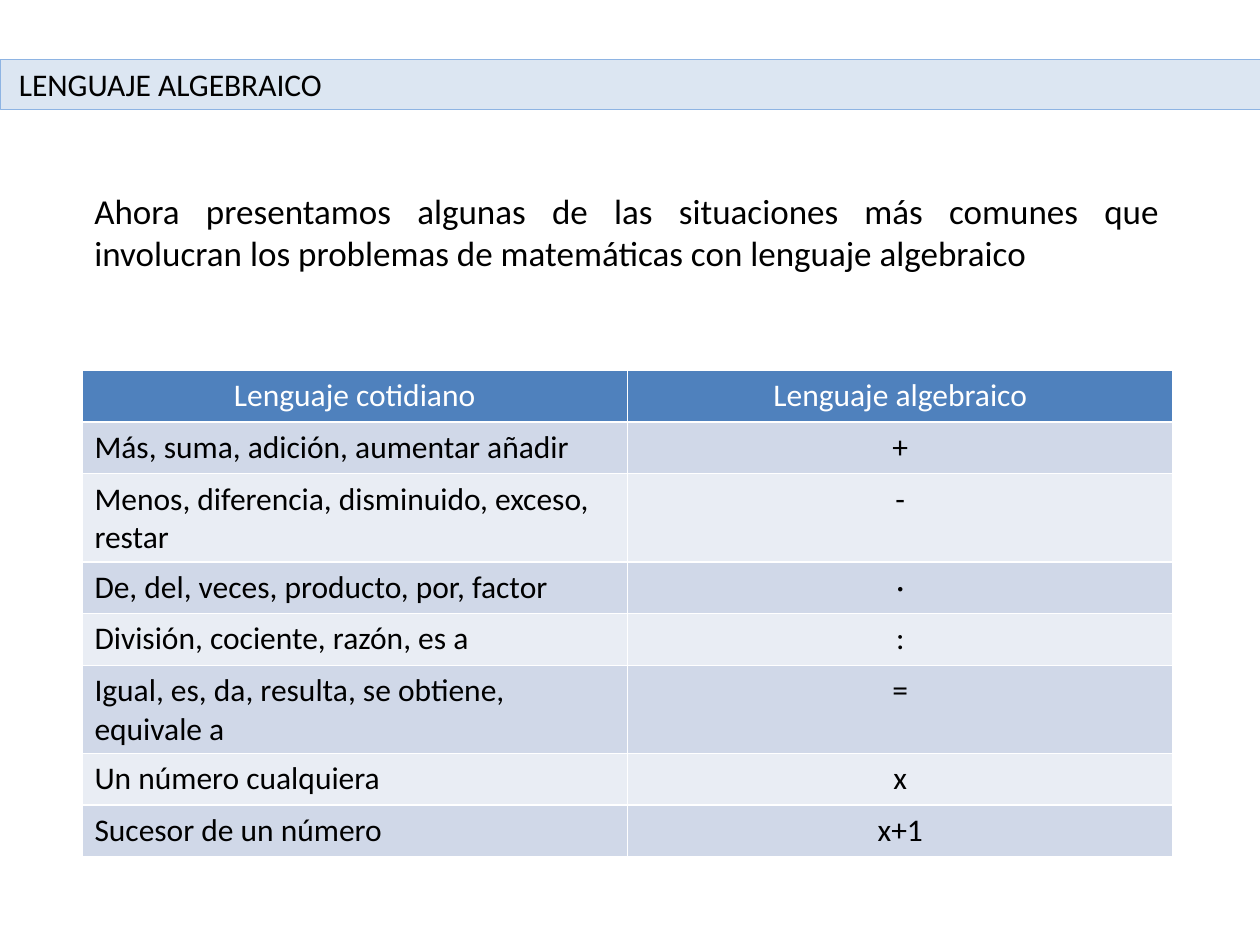
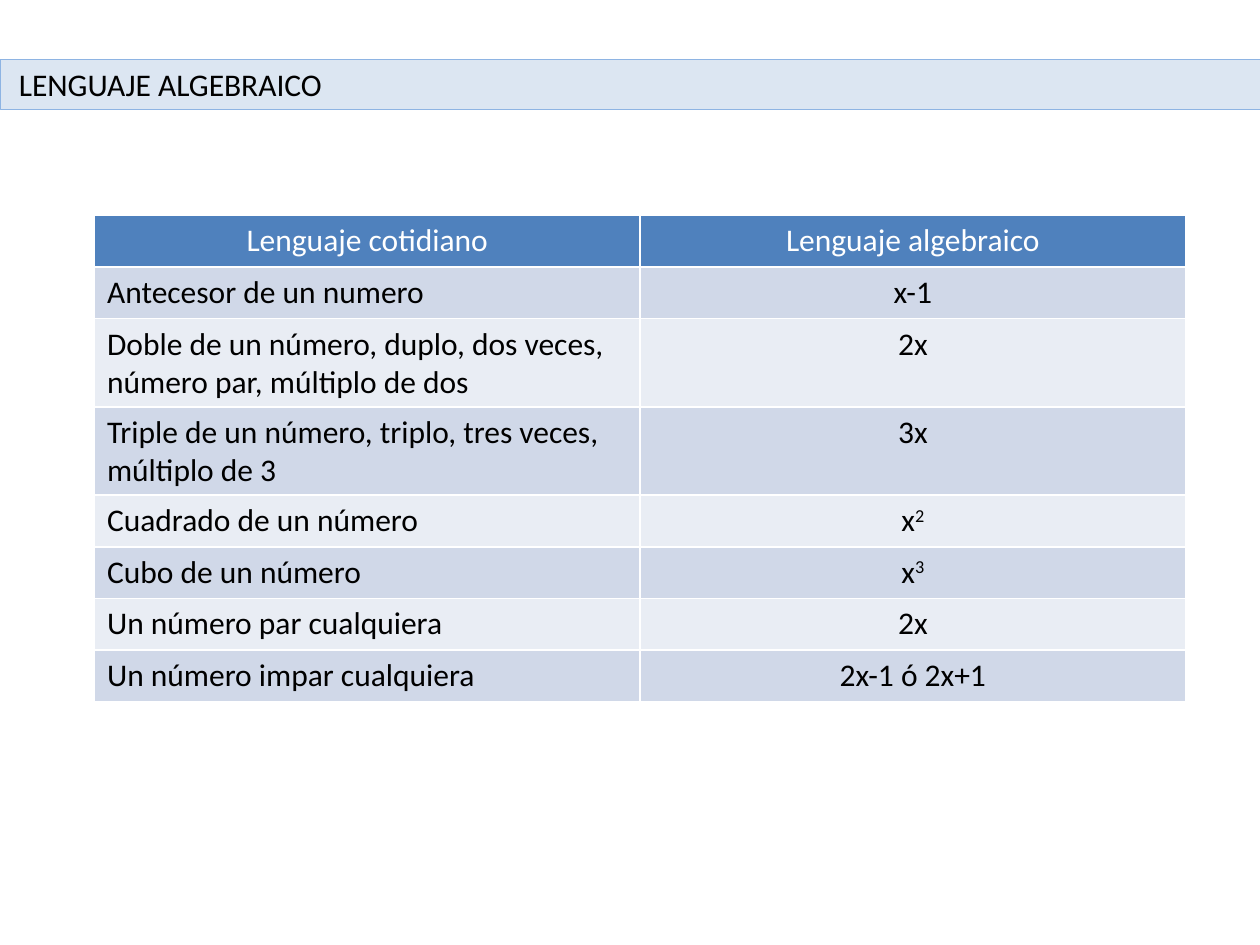
from pptx import Presentation
from pptx.dml.color import RGBColor
from pptx.enum.shapes import MSO_SHAPE as Shape
from pptx.enum.text import MSO_ANCHOR as Anchor, PP_ALIGN as Align
from pptx.util import Inches, Pt

FONT = "Calibri"
COLORS = {
    "text": "000000",
    "header_text": "FFFFFF",
    "header": "4F81BD",
    "odd_row": "D0D8E8",
    "even_row": "E9EDF4",
    "band": "DCE6F2",
    "band_line": "8EB4E3",
}
TITLE = "LENGUAJE ALGEBRAICO"
HEADER = ("Lenguaje cotidiano", "Lenguaje algebraico")
COLUMN_WIDTH = 4.33
ROW_HEIGHT = 0.41

SLIDES = [
    {
        "intro": "Ahora presentamos algunas de las situaciones más comunes que "
                 "involucran los problemas de matemáticas con lenguaje algebraico",
        "table_at": (0.65, 2.94),
        "rows": [
            ("Más, suma, adición, aumentar añadir", "+"),
            ("Menos, diferencia, disminuido, exceso, restar", "-"),
            ("De, del, veces, producto, por, factor", "·"),
            ("División, cociente, razón, es a", ":"),
            ("Igual, es, da, resulta, se obtiene, equivale a", "="),
            ("Un número cualquiera", "x"),
            ("Sucesor de un número", "x+1"),
        ],
    },
    {
        "table_at": (0.75, 1.71),
        "rows": [
            ("Antecesor de un numero", "x-1"),
            ("Doble de un número, duplo, dos veces, número par, múltiplo de dos", "2x"),
            ("Triple de un número, triplo, tres veces, múltiplo de 3", "3x"),
            ("Cuadrado de un número", "x^2"),
            ("Cubo de un número", "x^3"),
            ("Un número par cualquiera", "2x"),
            ("Un número impar cualquiera", "2x-1 ó 2x+1"),
        ],
    },
]


def color(name):
    return RGBColor.from_string(COLORS[name])


def write(frame, text, size=18, align=Align.LEFT, ink="text"):
    para = frame.paragraphs[0]
    para.alignment = align
    para.font.name = FONT
    para.font.size = Pt(size)
    para.font.color.rgb = color(ink)
    base, _, exponent = text.partition("^")
    span = para.add_run()
    span.text = base
    span.font.bold = False
    if exponent:
        power = para.add_run()
        power.text = exponent
        power._r.get_or_add_rPr().set("baseline", "30000")


def add_title_band(page, width):
    band = page.shapes.add_shape(Shape.RECTANGLE, 0, Inches(0.47), width, Inches(0.4))
    band.shadow.inherit = False
    band.fill.solid()
    band.fill.fore_color.rgb = color("band")
    band.line.color.rgb = color("band_line")
    band.line.width = Pt(0.25)
    band.text_frame.margin_left = Inches(0.15)
    write(band.text_frame, TITLE)


def add_intro(page, text):
    box = page.shapes.add_textbox(Inches(0.65), Inches(1.11), Inches(8.65), Inches(1.11))
    box.text_frame.word_wrap = True
    box.text_frame.vertical_anchor = Anchor.BOTTOM
    write(box.text_frame, text, size=20, align=Align.JUSTIFY)


def add_language_table(page, position, rows):
    lines = [HEADER, *rows]
    left, top = position
    table = page.shapes.add_table(
        len(lines), len(HEADER), Inches(left), Inches(top),
        Inches(COLUMN_WIDTH * len(HEADER)), Inches(ROW_HEIGHT * len(lines))).table
    for row_index, line in enumerate(lines):
        is_header = row_index == 0
        fill = "header" if is_header else "odd_row" if row_index % 2 else "even_row"
        for column_index, text in enumerate(line):
            cell = table.cell(row_index, column_index)
            cell.fill.solid()
            cell.fill.fore_color.rgb = color(fill)
            centred = is_header or column_index == 1
            write(cell.text_frame, text,
                  align=Align.CENTER if centred else Align.LEFT,
                  ink="header_text" if is_header else "text")


def main():
    deck = Presentation()
    deck.slide_width, deck.slide_height = Inches(10), Inches(7.5)
    for content in SLIDES:
        page = deck.slides.add_slide(deck.slide_layouts[6])
        if "intro" in content:
            add_intro(page, content["intro"])
        add_language_table(page, content["table_at"], content["rows"])
        add_title_band(page, deck.slide_width)
    deck.save("out.pptx")


if __name__ == "__main__":
    main()
